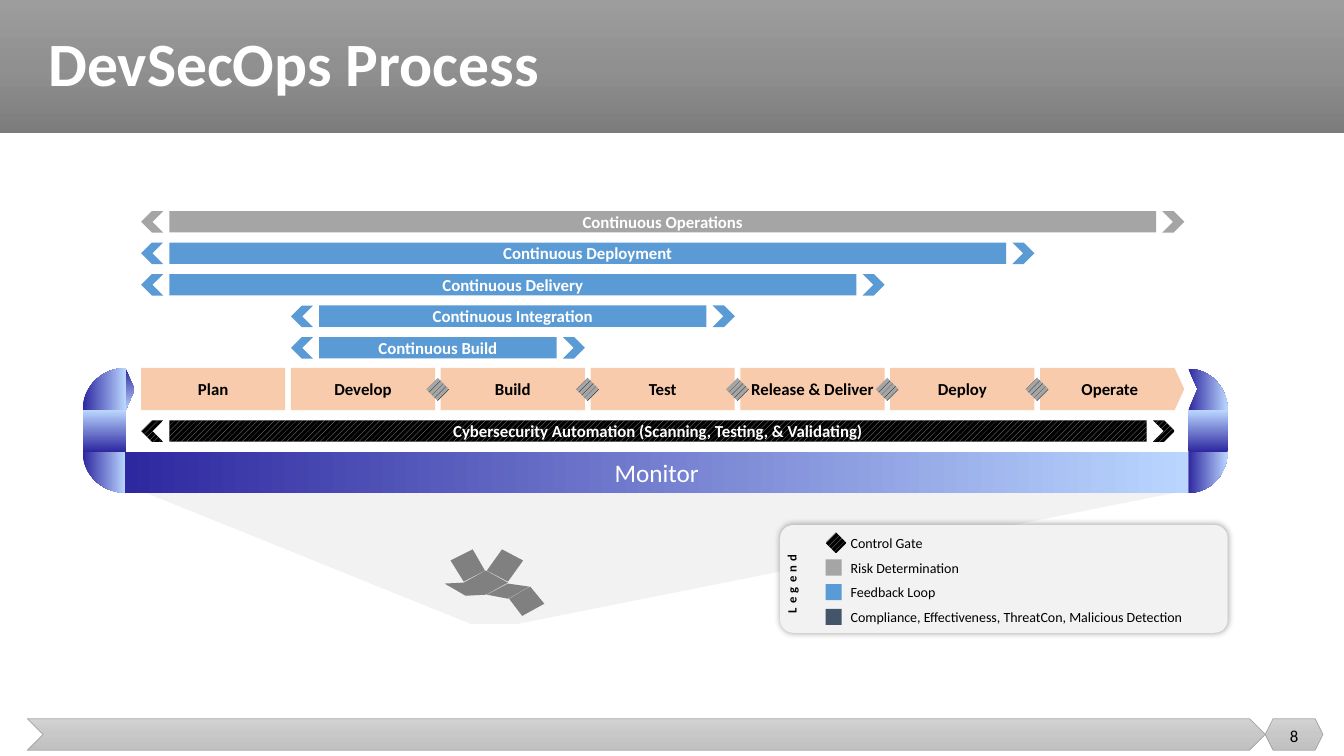
import copy
import math

import pptx
import pptx.dml.color
import pptx.enum.dml
import pptx.enum.shapes
import pptx.enum.text
import pptx.oxml
import pptx.oxml.ns
import pptx.util

Color = pptx.dml.color.RGBColor
Shape = pptx.enum.shapes.MSO_SHAPE
Align = pptx.enum.text.PP_ALIGN

WHITE = Color(0xFF, 0xFF, 0xFF)
BLACK = Color(0x00, 0x00, 0x00)
PEACH = Color(0xF8, 0xCB, 0xAD)
BLUE = Color(0x5B, 0x9B, 0xD5)
GRAY = Color(0xA5, 0xA5, 0xA5)
DARK_GRAY = Color(0x80, 0x80, 0x80)
PALE_GRAY = Color(0xF2, 0xF2, 0xF2)
SLATE = Color(0x44, 0x54, 0x6A)

LOOP = [Color(0x2E, 0x28, 0xA0), Color(0xBA, 0xD6, 0xFF)]
HEADER = [Color(0x9D, 0x9D, 0x9D), Color(0x90, 0x90, 0x90), Color(0x7C, 0x7C, 0x7C)]
FOOTER = [Color(0xD2, 0xD2, 0xD2), Color(0xC8, 0xC8, 0xC8), Color(0xC0, 0xC0, 0xC0)]
BLACK_STRIPES = (GRAY, BLACK)
GRAY_STRIPES = (BLACK, GRAY)

COLUMNS, ROWS = 128, 72
PHASE_START, PHASE_PITCH, PHASE_WIDTH = 13.44, 14.27, 13.73
PHASE_ROW = 35.04

PHASES = ["Plan", "Develop", "Build", "Test", "Release & Deliver", "Deploy", "Operate"]
CYCLES = [
    ("Continuous Operations", 0, 6, GRAY),
    ("Continuous Deployment", 0, 5, BLUE),
    ("Continuous Delivery", 0, 4, BLUE),
    ("Continuous Integration", 1, 3, BLUE),
    ("Continuous Build", 1, 2, BLUE),
]
LEGEND = [
    ("Control Gate", Shape.DIAMOND, 2, BLACK_STRIPES),
    ("Risk Determination", Shape.RECTANGLE, 1.54, GRAY),
    ("Feedback Loop", Shape.RECTANGLE, 1.54, BLUE),
    ("Compliance, Effectiveness, ThreatCon, Malicious Detection", Shape.RECTANGLE, 1.54, SLATE),
]
OPEN_BOX = [
    [(50.5, 55.87), (51.84, 57.5), (49.73, 58.66), (48.48, 57.02)],
    [(48.38, 55.58), (50.4, 55.87), (48.38, 57.02), (46.37, 56.64)],
    [(44.16, 55.49), (46.27, 56.64), (44.35, 56.74), (42.34, 55.58)],
    [(46.27, 54.34), (48.38, 55.49), (46.27, 56.64), (44.16, 55.49)],
    [(47.81, 52.32), (49.82, 53.38), (48.38, 55.39), (46.37, 54.34)],
    [(45.02, 52.32), (46.18, 54.34), (44.16, 55.39), (42.91, 53.38)],
]


class ProcessSlide:
    """Draws styled elements on a grid of columns and rows."""

    def __init__(self, presentation):
        self.slide = presentation.slides.add_slide(presentation.slide_layouts[5])
        self.shapes = self.slide.shapes
        self.column = presentation.slide_width / COLUMNS
        self.row = presentation.slide_height / ROWS

    def point(self, column, row):
        return round(column * self.column), round(row * self.row)

    def box(self, left, top, width, height):
        return *self.point(left, top), *self.point(width, height)

    def paint(self, shape, fill, angle=0):
        shape.shadow.inherit = False
        shape.line.fill.background()
        if isinstance(fill, list):
            shape.fill.gradient()
            shape.fill.gradient_angle = angle
            stops = shape._element.spPr.find(".//" + pptx.oxml.ns.qn("a:gsLst"))
            for _ in fill[2:]:
                stops.insert(1, copy.deepcopy(stops[0]))
            for index, stop in enumerate(shape.fill.gradient_stops):
                stop.position = index / (len(fill) - 1)
                stop.color.rgb = fill[index]
        elif isinstance(fill, tuple) and not isinstance(fill, Color):
            shape.fill.patterned()
            shape.fill.pattern = pptx.enum.dml.MSO_PATTERN.WIDE_UPWARD_DIAGONAL
            shape.fill.fore_color.rgb, shape.fill.back_color.rgb = fill
        else:
            shape.fill.solid()
            shape.fill.fore_color.rgb = fill
        return shape

    def set_text(self, shape, text, size, color, bold=False, align=Align.CENTER, inset=0):
        frame = shape.text_frame
        frame.text = text
        frame.word_wrap = True
        frame.vertical_anchor = pptx.enum.text.MSO_ANCHOR.MIDDLE
        frame.margin_left = frame.margin_right = pptx.util.Inches(inset)
        frame.margin_top = frame.margin_bottom = 0
        paragraph = frame.paragraphs[0]
        paragraph.alignment = align
        font = paragraph.runs[0].font
        font.name, font.size, font.bold = "Calibri", pptx.util.Pt(size), bold
        font.color.rgb = color
        return paragraph

    def preset(self, kind, box, fill, angle=0, rotation=0, adjustment=None):
        shape = self.paint(self.shapes.add_shape(kind, *self.box(*box)), fill, angle)
        shape.rotation = rotation
        if adjustment is not None:
            shape.adjustments[0] = adjustment
        return shape

    def outline(self, contours, fill):
        contours = [[self.point(*corner) for corner in contour] for contour in contours]
        builder = self.shapes.build_freeform(*contours[0][0])
        for index, contour in enumerate(contours):
            if index:
                builder.move_to(*contour[0])
            builder.add_line_segments(contour[1:], close=True)
        return self.paint(builder.convert_to_shape(), fill)

    def loop_corner(self, column, row, width, height, start, *notch):
        angles = [math.radians(start + 5 * step) for step in range(19)]
        arc = [(column + width * math.cos(a), row + height * math.sin(a)) for a in angles]
        self.outline([arc + [(column, row), *notch]], LOOP)

    def label(self, text, box, size, align):
        self.set_text(self.shapes.add_textbox(*self.box(*box)), text, size, BLACK, align=align)

    def title(self, text, box):
        title = self.shapes.title
        self.shapes._spTree.append(title._element)
        title.left, title.top, title.width, title.height = self.box(*box)
        self.set_text(title, text, 44, WHITE, True, Align.LEFT, 0.1).line_spacing = 0.9

    def cycle(self, text, left, right, row, fill):
        self.preset(Shape.CHEVRON, (right - 2.1, row, 2.1, 2.05), fill)
        self.preset(Shape.CHEVRON, (left, row, 2.1, 2.05), fill, rotation=180)
        bar = self.preset(Shape.RECTANGLE, (left + 2.69, row, right - left - 5.38, 2.05), fill)
        self.set_text(bar, text, 12, WHITE, True)

    def legend(self, box):
        panel = self.preset(Shape.ROUNDED_RECTANGLE, box, PALE_GRAY, adjustment=0.12)
        paragraph = self.set_text(panel, "Legend", 9, BLACK, True)
        paragraph.runs[0].font._element.set("spc", "300")
        panel.text_frame.vertical_anchor = pptx.enum.text.MSO_ANCHOR.TOP
        panel.text_frame.margin_top = pptx.util.Inches(0.05)
        panel.text_frame._txBody.bodyPr.set("vert", "vert270")
        effects = panel._element.spPr.find(pptx.oxml.ns.qn("a:effectLst"))
        effects.append(pptx.oxml.parse_xml(
            f'<a:outerShdw {pptx.oxml.ns.nsdecls("a")} blurRad="63500" dist="0" rotWithShape="0">'
            '<a:srgbClr val="000000"><a:alpha val="40000"/></a:srgbClr></a:outerShdw>'))
        for index, (text, kind, size, fill) in enumerate(LEGEND):
            middle = box[1] + 1.7 + 2.35 * index
            self.preset(kind, (78.62, middle - size / 2, size, size), fill)
            self.label(text, (81.02, middle - 1.3, 35, 2.6), 10, Align.LEFT)


def phase_left(index):
    return PHASE_START + PHASE_PITCH * index


def main():
    presentation = pptx.Presentation()
    presentation.slide_width = pptx.util.Inches(13.33)
    presentation.slide_height = pptx.util.Inches(7.5)
    page = ProcessSlide(presentation)

    page.preset(Shape.RECTANGLE, (0, 0, COLUMNS, 12.7), HEADER, 270)
    for kind, left, width in ((Shape.CHEVRON, 2.6, 117.9), (Shape.HEXAGON, 120.5, 5.5)):
        ribbon = page.preset(kind, (left, 68.45, width, 3), FOOTER, 270)
        ribbon.line.color.rgb = GRAY
        ribbon.line.width = pptx.util.Pt(0.5)
    page.title("DevSecOps Process", (3.65, 0, 122.3, 12.7))
    page.label("8", (120.5, 68.2, 5.5, 3.8), 12, Align.CENTER)

    page.preset(Shape.TRAPEZOID, (38.5, 46.75, 17.18, 12.67), PALE_GRAY, 0, 180, 0.5)
    page.preset(Shape.ISOSCELES_TRIANGLE, (49.25, 46.75, 63.55, 12.67), PALE_GRAY, 0, 180, 1)
    page.preset(Shape.ISOSCELES_TRIANGLE, (13.44, 46.75, 31.4, 12.67), PALE_GRAY, 0, 180, 0)

    page.loop_corner(113.18, 39.07, 3.74, 3.94, 270, (114.05, 37.06))
    page.loop_corner(113.18, 43.01, 3.74, 3.94, 0)
    page.loop_corner(12, 39.07, 4.13, 4.03, 180)
    page.loop_corner(12, 43.01, 4.13, 3.94, 90)
    page.preset(Shape.RECTANGLE, (113.08, 39.17, 3.94, 3.74), LOOP, rotation=270)
    page.preset(Shape.RECTANGLE, (7.97, 38.98, 3.94, 4.13), LOOP, rotation=270)
    monitor = page.preset(Shape.RECTANGLE, (11.9, 43.01, 101.28, 3.94), LOOP)
    page.set_text(monitor, "Monitor", 18, WHITE)
    page.preset(Shape.ISOSCELES_TRIANGLE, (10.37, 36.67, 4.03, 0.86), LOOP, rotation=90)

    for index, name in enumerate(PHASES):
        last = index == len(PHASES) - 1
        box = (phase_left(index), PHASE_ROW, PHASE_WIDTH, 4.03)
        phase = page.preset(Shape.PENTAGON if last else Shape.RECTANGLE, box, PEACH,
                            adjustment=0.23 if last else None)
        page.set_text(phase, name, 12, BLACK, True)

    for index, (name, first, last, fill) in enumerate(CYCLES):
        right = phase_left(last) + PHASE_WIDTH
        page.cycle(name, phase_left(first), right, 20.1 + 3 * index, fill)
    page.cycle("Cybersecurity Automation (Scanning, Testing, & Validating)",
               PHASE_START, 111.9, 40.03, BLACK_STRIPES)

    for index in range(2, len(PHASES)):
        page.preset(Shape.DIAMOND, (phase_left(index) - 1.37, 36, 2.2, 2.2), GRAY_STRIPES)
    page.legend((74.3, 50, 42.62, 10.27))
    page.outline(OPEN_BOX, DARK_GRAY)
    presentation.save("out.pptx")


if __name__ == "__main__":
    main()
